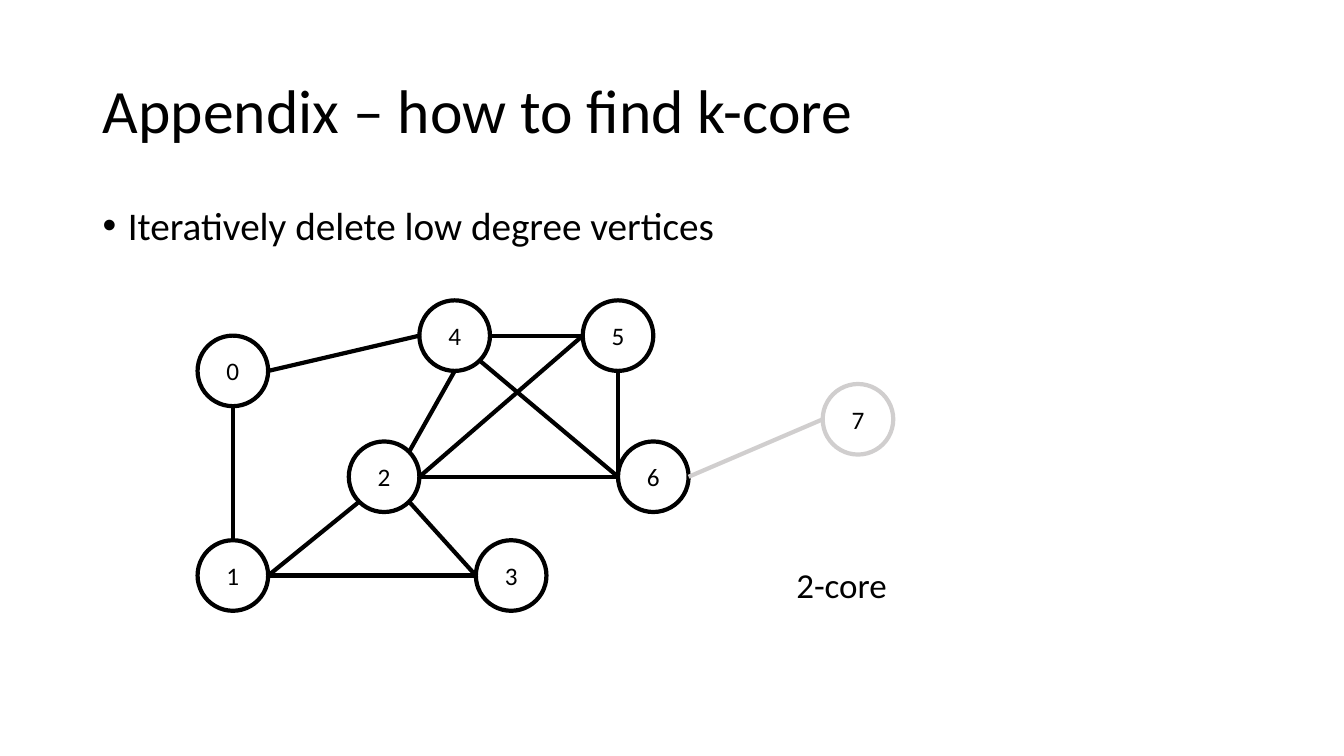
from math import cos, radians, sin

from lxml import etree
from pptx import Presentation
from pptx import util as u
from pptx.dml.color import RGBColor
from pptx.enum import shapes, text
from pptx.oxml.ns import qn

BLACK = RGBColor(0x00, 0x00, 0x00)
GREY = RGBColor(0xD0, 0xCE, 0xCE)

deck = Presentation()
deck.slide_width, deck.slide_height = u.Inches(13.33), u.Inches(7.5)
page = deck.slides.add_slide(deck.slide_layouts[5])


def write(shape, words, size, align=text.PP_ALIGN.LEFT, anchor=text.MSO_ANCHOR.MIDDLE):
    """Put one formatted line of text in the shape and return its paragraph."""
    frame = shape.text_frame
    frame.auto_size = text.MSO_AUTO_SIZE.NONE
    frame.word_wrap = True
    frame.vertical_anchor = anchor
    para = frame.paragraphs[0]
    para.alignment = align
    span = para.add_run()
    span.text = words
    for name, value in {"name": "Calibri", "size": u.Pt(size), "bold": False}.items():
        setattr(span.font, name, value)
    span.font.color.rgb = BLACK
    return para


# Title and bullet share one column
margin, column = u.Inches(0.92), u.Inches(11.5)
title = page.shapes.title
place = {"left": margin, "top": u.Inches(0.4), "width": column, "height": u.Inches(1.45)}
for name, value in place.items():
    setattr(title, name, value)
write(title, "Appendix – how to find k-core", 44).line_spacing = 0.9

body = page.shapes.add_textbox(margin, u.Inches(2), column, u.Inches(4.76))
para = write(body, "Iteratively delete low degree vertices", 28, anchor=text.MSO_ANCHOR.TOP)
para.line_spacing, para.space_before = 0.9, u.Pt(10)
props = para._p.get_or_add_pPr()
props.set("marL", str(u.Inches(0.25)))
props.set("indent", str(u.Inches(-0.25)))
etree.SubElement(props, qn("a:buFont")).set("typeface", "Arial")
etree.SubElement(props, qn("a:buChar")).set("char", "•")

# Vertices: centre of each circle in inches
RADIUS = 0.35
vertices = {
    0: (2.31, 3.68), 1: (2.31, 5.71), 2: (3.81, 4.73), 3: (5.07, 5.71),
    4: (4.51, 3.33), 5: (6.13, 3.33), 6: (6.48, 4.73), 7: (8.51, 4.16),
}
deleted = {7}
for number, (x, y) in vertices.items():
    circle = page.shapes.add_shape(
        shapes.MSO_SHAPE.OVAL, u.Inches(x - RADIUS), u.Inches(y - RADIUS),
        u.Inches(2 * RADIUS), u.Inches(2 * RADIUS))
    circle.shadow.inherit = False
    circle.fill.background()
    circle.line.color.rgb = GREY if number in deleted else BLACK
    circle.line.width = u.Pt(3)
    write(circle, str(number), 18, text.PP_ALIGN.CENTER)

# Edges: vertex and side of its circle at each end
ANGLES = {"E": 0, "SE": 45, "S": 90, "SW": 135, "W": 180, "NW": 225, "N": 270, "NE": 315}
edges = [
    (0, "S", 1, "N"), (2, "SW", 1, "E"), (0, "E", 4, "W"), (4, "S", 2, "NE"),
    (2, "SE", 3, "W"), (1, "E", 3, "W"), (2, "E", 6, "W"), (4, "SE", 6, "W"),
    (4, "E", 5, "W"), (5, "W", 2, "E"), (5, "S", 6, "W"), (6, "E", 7, "W"),
]


def rim_point(number, side):
    x, y = vertices[number]
    angle = radians(ANGLES[side])
    return u.Inches(x + RADIUS * cos(angle)), u.Inches(y + RADIUS * sin(angle))


for start, start_side, end, end_side in edges:
    edge = page.shapes.add_connector(
        shapes.MSO_CONNECTOR.STRAIGHT, *rim_point(start, start_side), *rim_point(end, end_side))
    edge.line.color.rgb = GREY if deleted & {start, end} else BLACK
    edge.line.width = u.Pt(3)
    etree.SubElement(edge._element.spPr, qn("a:effectLst"))

label = page.shapes.add_textbox(u.Inches(7.8), u.Inches(5.54), u.Inches(2.64), u.Inches(0.52))
write(label, "2-core", 25, anchor=text.MSO_ANCHOR.TOP)

deck.save("out.pptx")
